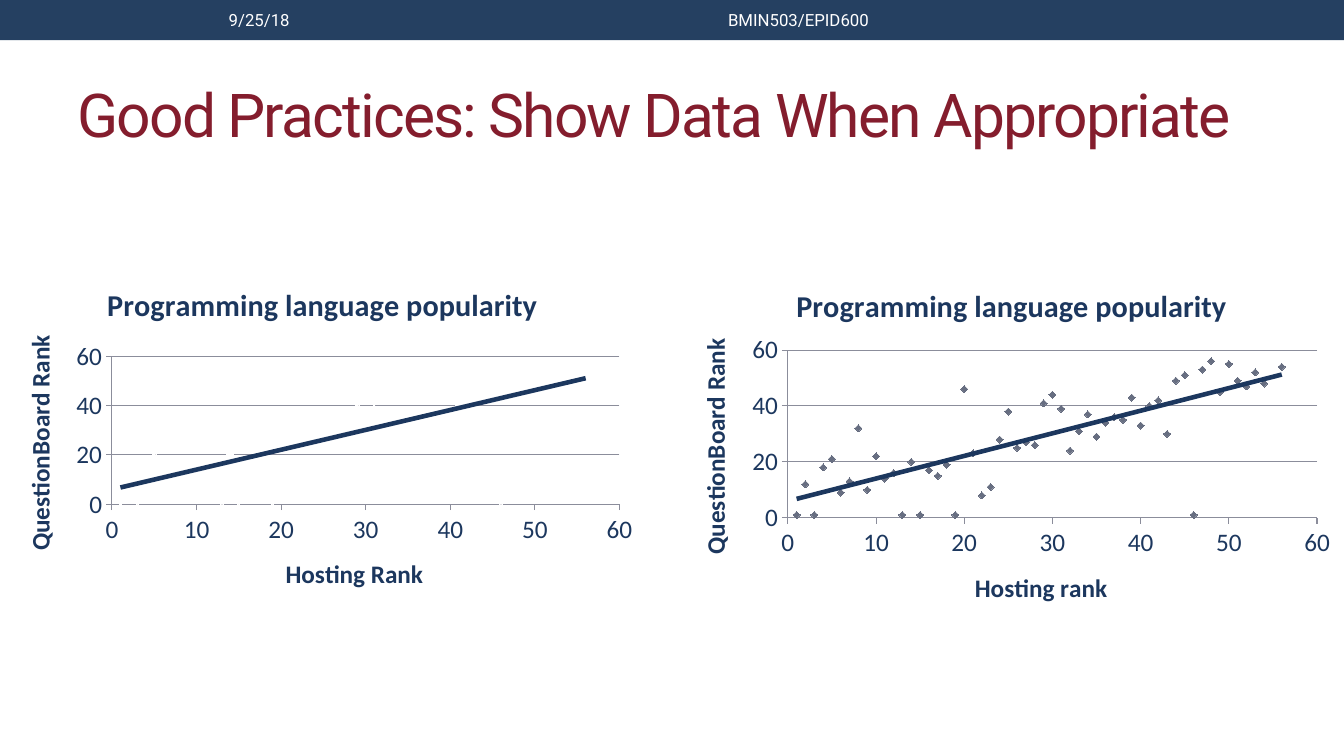
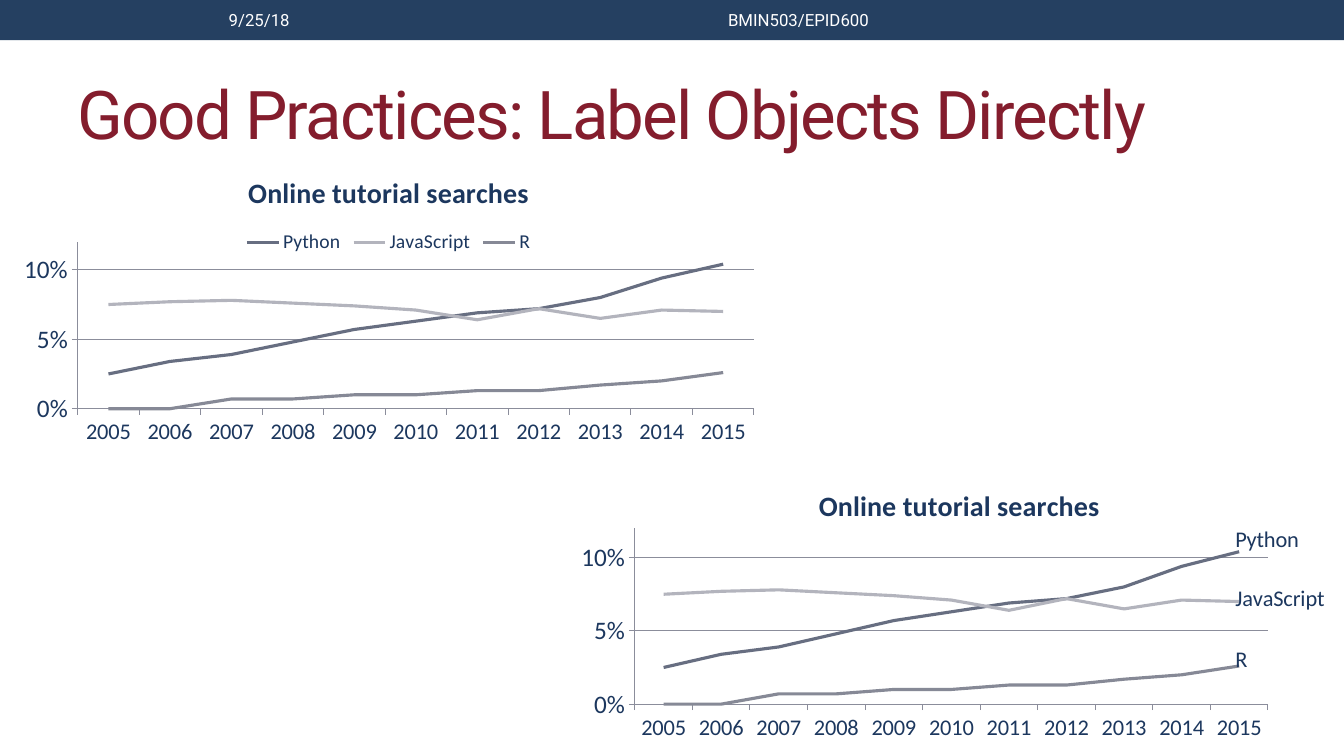
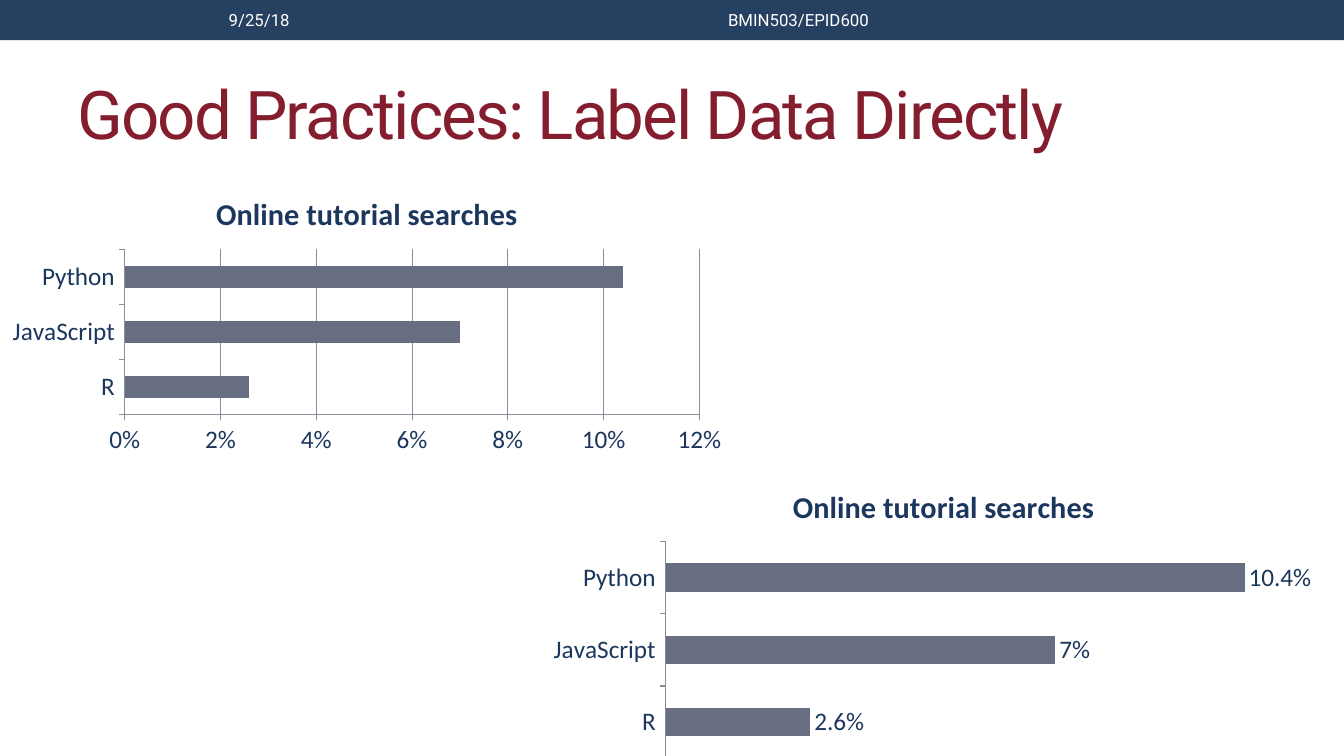
from lxml import etree
from pptx import Presentation
from pptx.chart.data import CategoryChartData, XyChartData
from pptx.dml.color import RGBColor
from pptx.enum import chart as c, shapes, text
from pptx.oxml import parse_xml
from pptx.oxml.ns import nsdecls, qn
from pptx.util import Inches, Pt

BAND = RGBColor(0x25, 0x40, 0x61)
TITLE = RGBColor(0x84, 0x1D, 0x2D)
NAVY = RGBColor(0x1C, 0x37, 0x5E)
SLATE = RGBColor(0x67, 0x6E, 0x81)
SILVER = RGBColor(0xB3, 0xB4, 0xBD)
GRAY = RGBColor(0x86, 0x89, 0x96)
AXIS = RGBColor(0x8B, 0x8D, 0x9B)
WHITE = RGBColor(0xFF, 0xFF, 0xFF)

DATE = "9/25/18"
COURSE = "BMIN503/EPID600"

LANGUAGE_RANKS = {
    "x": [*range(1, 55), 56],
    "y": [1, 12, 1, 18, 21, 9, 13, 32, 10, 22, 14, 16, 1, 20, 1, 17, 15, 19, 1,
          46, 23, 8, 11, 28, 38, 25, 27, 26, 41, 44, 39, 24, 31, 37, 29, 34, 36,
          35, 43, 33, 40, 42, 30, 49, 51, 1, 53, 56, 45, 55, 49, 47, 52, 48, 54],
}
RANK_TITLE = "Programming language popularity"
RANK_Y_TITLE = "QuestionBoard Rank"
# place, horizontal axis title, marker colour, plot area
RANK_CHARTS = [
    ((0, 2.64, 6.4, 3.45), "Hosting Rank", WHITE, None),
    ((6.67, 2.64, 6.73, 3.62), "Hosting rank", SLATE, (0.17, 0.23, 0.78, 0.46)),
]

SEARCH_TITLE = "Online tutorial searches"
YEARS = [str(year) for year in range(2005, 2016)]
# name, shares by year, line colour, offset of the label at the line's end
SEARCHES = [
    ("Python", [0.025, 0.034, 0.039, 0.048, 0.057, 0.063, 0.069, 0.072, 0.08,
                0.094, 0.104], SLATE, (-0.01, -0.04)),
    ("JavaScript", [0.075, 0.077, 0.078, 0.076, 0.074, 0.071, 0.064, 0.072,
                    0.065, 0.071, 0.07], SILVER, (-0.01, -0.01)),
    ("R", [0, 0, 0.007, 0.007, 0.01, 0.01, 0.013, 0.013, 0.017, 0.02, 0.026],
     GRAY, (-0.01, -0.02)),
]


def add_text(slide, place, words, size, color):
    box = slide.shapes.add_textbox(*map(Inches, place))
    frame = box.text_frame
    frame.word_wrap = True
    frame.vertical_anchor = text.MSO_ANCHOR.MIDDLE
    paragraph = frame.paragraphs[0]
    paragraph.text = words
    style_font(paragraph.font, size, color, "Roboto")
    return paragraph


def style_font(font, size, color=NAVY, name="Calibri", bold=False):
    font.size, font.name, font.bold = Pt(size), name, bold
    font.color.rgb = color


def add_slide(presentation, title, title_size=48):
    """Add a slide with the top band, its date and course, and a title."""
    slide = presentation.slides.add_slide(presentation.slide_layouts[6])
    band = slide.shapes.add_shape(shapes.MSO_SHAPE.RECTANGLE, 0, 0,
                                  presentation.slide_width, Inches(0.4))
    band.shadow.inherit = False
    band.fill.solid()
    band.fill.fore_color.rgb = BAND
    band.line.fill.background()
    heading = add_text(slide, (0.67, 0.58, 12, 1.08), title, title_size, TITLE)
    heading.runs[0].font.size = Pt(title_size)
    heading.runs[0]._r.get_or_add_rPr().set("spc", "-130")
    add_text(slide, (2.17, 0.02, 3.17, 0.36), DATE, 12, WHITE)
    course = add_text(slide, (4.92, 0.02, 6, 0.36), COURSE, 12, WHITE)
    course.alignment = text.PP_ALIGN.CENTER
    return slide


def set_title(owner, words, size):
    frame = owner.text_frame
    frame.text = words
    style_font(frame.paragraphs[0].font, size, bold=True)
    return frame


def set_layout(parent, index, values, inner=False):
    """Give a chart element a manual layout, as fractions of the chart."""
    for old in parent.findall(qn("c:layout")):
        parent.remove(old)
    layout = parse_xml(f"<c:layout {nsdecls('c')}><c:manualLayout/></c:layout>")
    settings = [("layoutTarget", "inner"), ("xMode", "edge"), ("yMode", "edge")] if inner else []
    for tag, value in settings + list(zip("xywh", values)):
        etree.SubElement(layout[0], qn(f"c:{tag}")).set("val", str(value))
    parent.insert(index, layout)


def add_chart(slide, kind, place, data, title, title_size=21.6, plot_area=None):
    chart = slide.shapes.add_chart(kind, *map(Inches, place), data).chart
    style_font(chart.font, 18)
    chart.has_legend = False
    chart.has_title = True
    set_title(chart.chart_title, title, title_size)
    chart.plots[0].vary_by_categories = False
    if plot_area:
        set_layout(chart._chartSpace.chart.plotArea, 0, plot_area, inner=True)
    return chart


def style_axis(axis, size=18, scale=None, number_format=None, grid=False):
    """Style an axis; scale is its minimum, maximum and major unit."""
    axis.has_major_gridlines = grid
    if grid:
        style_line(axis.major_gridlines.format.line, AXIS, 0.75)
    axis.major_tick_mark = c.XL_TICK_MARK.OUTSIDE
    axis.minor_tick_mark = c.XL_TICK_MARK.NONE
    style_line(axis.format.line, AXIS, 0.75)
    style_font(axis.tick_labels.font, size)
    if scale:
        axis.minimum_scale, axis.maximum_scale, axis.major_unit = scale
    if number_format:
        axis.tick_labels.number_format = number_format
        axis.tick_labels.number_format_is_linked = False


def style_line(line, color, width):
    line.color.rgb = color
    line.width = Pt(width)


def add_trend_line(series):
    series._element.find(qn("c:xVal")).addprevious(parse_xml(
        f"<c:trendline {nsdecls('c', 'a')}><c:spPr><a:ln w='{Pt(3.25)}'>"
        f"<a:solidFill><a:srgbClr val='{NAVY}'/></a:solidFill></a:ln></c:spPr>"
        "<c:trendlineType val='linear'/><c:dispRSqr val='0'/><c:dispEq val='0'/>"
        "</c:trendline>"))


def add_rank_chart(slide, place, x_title, marker_color, plot_area):
    data = XyChartData()
    points = data.add_series("Series 1")
    for x, y in zip(LANGUAGE_RANKS["x"], LANGUAGE_RANKS["y"]):
        points.add_data_point(x, y)
    chart = add_chart(slide, c.XL_CHART_TYPE.XY_SCATTER, place, data, RANK_TITLE,
                      plot_area=plot_area)
    style_axis(chart.category_axis, scale=(0, 60, 10))
    style_axis(chart.value_axis, scale=(0, 60, 20), grid=True)
    set_title(chart.category_axis.axis_title, x_title, 18)
    y_frame = set_title(chart.value_axis.axis_title, RANK_Y_TITLE, 18)
    y_frame._txBody.bodyPr.set("rot", "-5400000")
    series = chart.plots[0].series[0]
    series.format.line.fill.background()
    series.marker.style = c.XL_MARKER_STYLE.DIAMOND
    series.marker.size = 5
    series.marker.format.fill.solid()
    series.marker.format.fill.fore_color.rgb = marker_color
    series.marker.format.line.fill.background()
    add_trend_line(series)


def label_line_end(series, offset):
    """Write the series name beside its last point."""
    series.data_labels.show_value = False
    label = series.points[len(YEARS) - 1].data_label
    style_font(label.font, 16)
    label.position = c.XL_LABEL_POSITION.RIGHT
    element = series._element.find(f"{qn('c:dLbls')}/{qn('c:dLbl')}")
    element.find(qn("c:showVal")).set("val", "0")
    element.find(qn("c:showSerName")).set("val", "1")
    set_layout(element, 1, offset)


def add_line_chart(slide, place, plot_area, direct_labels):
    data = CategoryChartData()
    data.categories = YEARS
    for name, shares, _, _ in SEARCHES:
        data.add_series(name, shares)
    chart = add_chart(slide, c.XL_CHART_TYPE.LINE, place, data, SEARCH_TITLE, 20, plot_area)
    style_axis(chart.category_axis, size=16)
    style_axis(chart.value_axis, scale=(0, 0.12, 0.05), number_format="0%", grid=True)
    for series, (_, _, color, offset) in zip(chart.plots[0].series, SEARCHES):
        series.smooth = False
        series.marker.style = c.XL_MARKER_STYLE.NONE
        style_line(series.format.line, color, 2.25)
        if direct_labels:
            label_line_end(series, offset)
    if not direct_labels:
        chart.has_legend = True
        chart.legend.position = c.XL_LEGEND_POSITION.TOP
        chart.legend.include_in_layout = False
        style_font(chart.legend.font, 14)


def add_bar_chart(slide, place, direct_labels):
    data = CategoryChartData()
    latest = [(name, shares[-1]) for name, shares, _, _ in reversed(SEARCHES)]
    data.categories = [name for name, _ in latest]
    data.add_series("Series 1", [share for _, share in latest])
    chart = add_chart(slide, c.XL_CHART_TYPE.BAR_CLUSTERED, place, data, SEARCH_TITLE)
    style_axis(chart.category_axis)
    style_axis(chart.value_axis, scale=(0, 0.12, 0.02), number_format="0%",
               grid=not direct_labels)
    plot = chart.plots[0]
    plot.gap_width = 150
    series = plot.series[0]
    series.format.fill.solid()
    series.format.fill.fore_color.rgb = SLATE
    if direct_labels:
        chart.value_axis.visible = False
        labels = series.data_labels
        labels.show_value = True
        labels.number_format = "0.0%"
        labels.number_format_is_linked = False
        labels.position = c.XL_LABEL_POSITION.OUTSIDE_END
        style_font(labels.font, 18)
        whole = series.points[1].data_label
        whole.text_frame.text = "7%"
        style_font(whole.text_frame.paragraphs[0].runs[0].font, 18)
        whole.position = c.XL_LABEL_POSITION.OUTSIDE_END


def main():
    presentation = Presentation()
    presentation.slide_width, presentation.slide_height = Inches(13.33), Inches(7.5)

    slide = add_slide(presentation, "Good Practices: Show Data When Appropriate", 43.2)
    for rank_chart in RANK_CHARTS:
        add_rank_chart(slide, *rank_chart)

    slide = add_slide(presentation, "Good Practices: Label Objects Directly")
    add_line_chart(slide, (0, 1.54, 7.71, 3.31), (0.1, 0.26, 0.87, 0.5), False)
    add_line_chart(slide, (5.59, 4.66, 7.85, 2.77), (0.09, 0.21, 0.8, 0.63), True)

    slide = add_slide(presentation, "Good Practices: Label Data Directly")
    add_bar_chart(slide, (-0.02, 1.75, 7.32, 2.82), False)
    add_bar_chart(slide, (5.33, 4.65, 8.06, 2.93), True)

    presentation.save("out.pptx")


if __name__ == "__main__":
    main()
